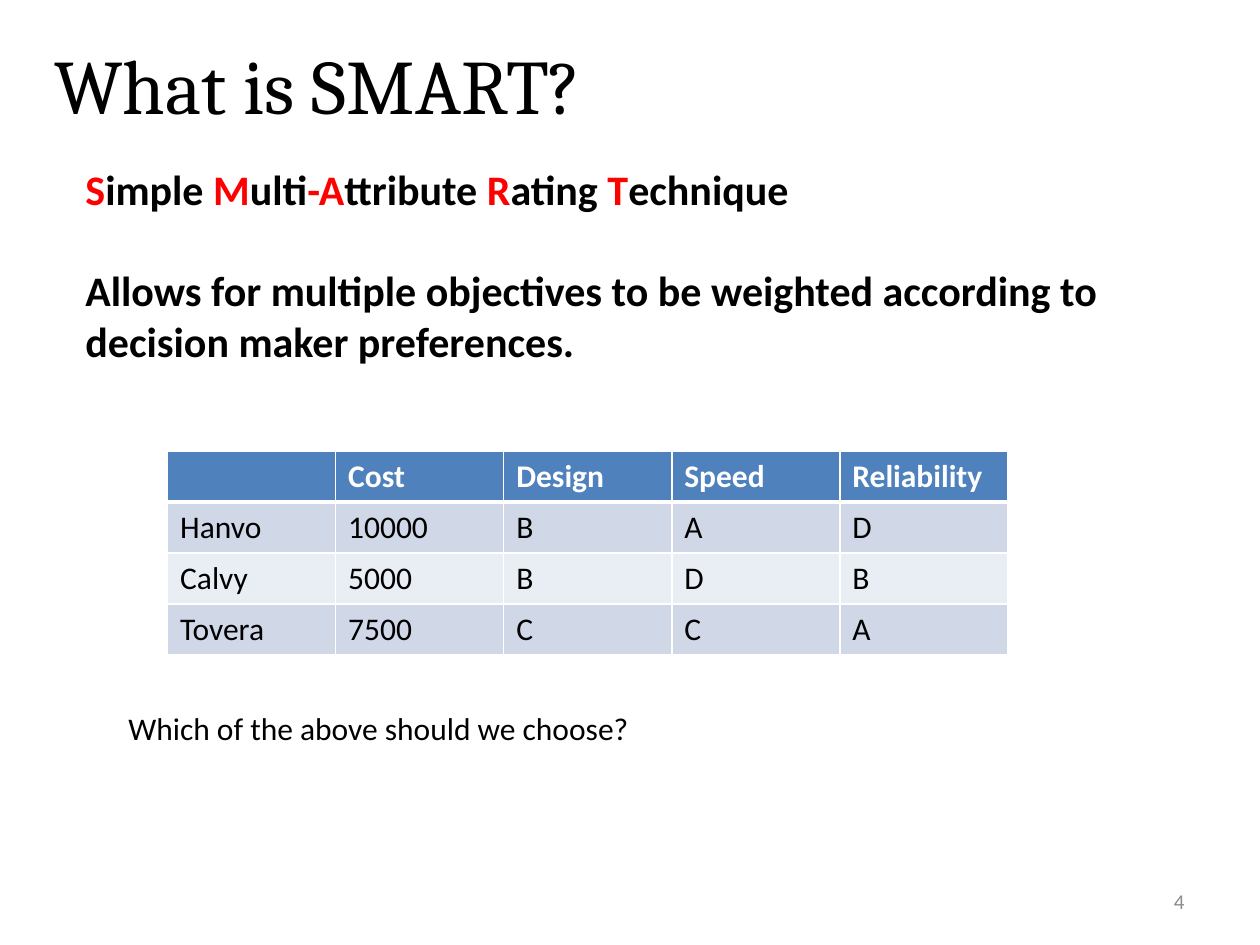
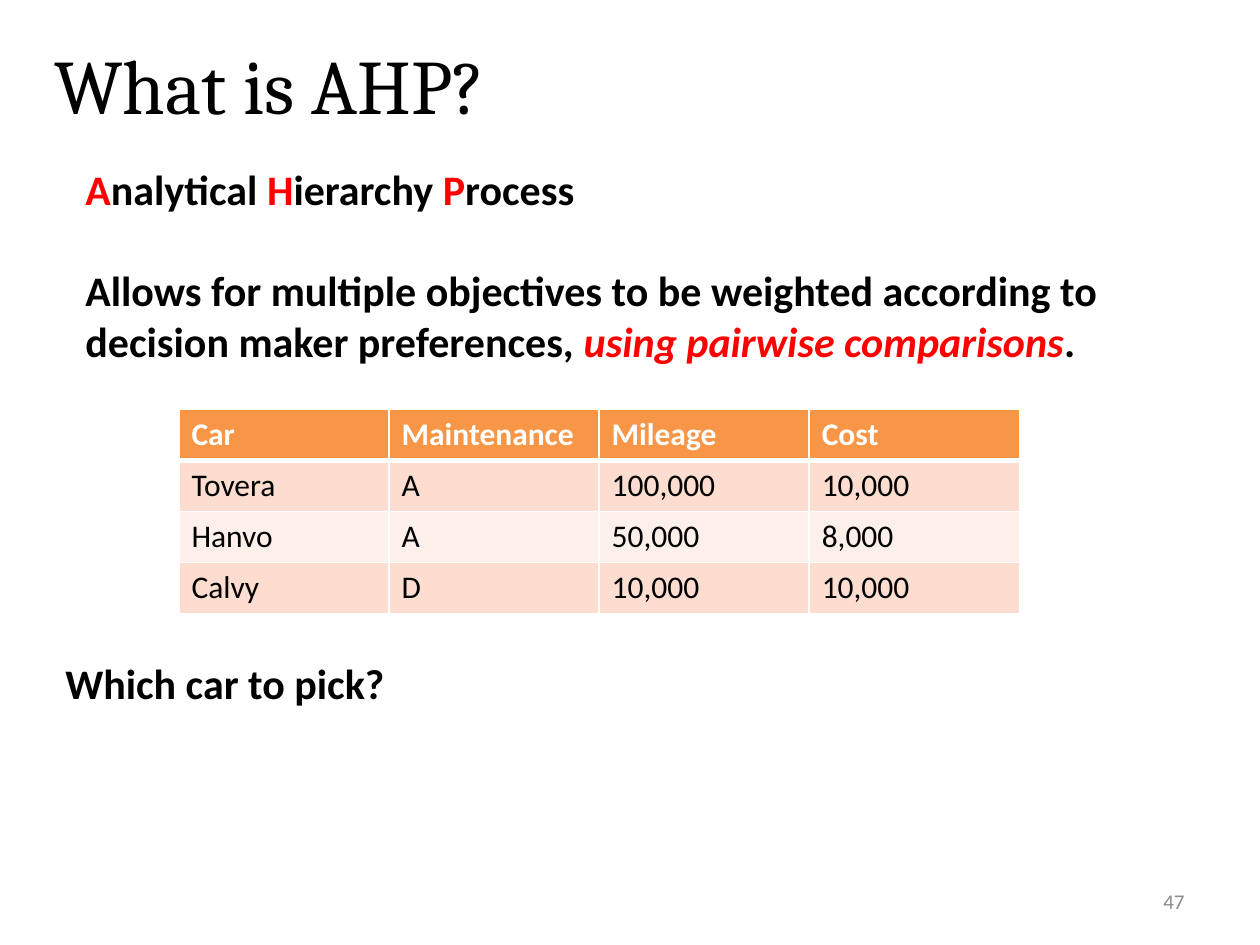
from lxml.etree import SubElement
from pptx import Presentation
from pptx.dml.color import RGBColor
from pptx.enum.text import MSO_ANCHOR as Anchor, MSO_AUTO_SIZE as AutoSize, PP_ALIGN as Align
from pptx.oxml.ns import qn
from pptx.util import Inches, Pt

BLACK, RED, WHITE, GREY = "000000", "FF0000", "FFFFFF", "8C8C8C"
HEADING_FONT, BODY_FONT = "Cambria", "Calibri"
TITLE_ONLY = 5
TABLE_WIDTH, ROW_HEIGHT = 6.67, 0.405
BORDERS = (("a:lnL", 1), ("a:lnR", 1), ("a:lnT", 1), ("a:lnB", 1))
HEADER_BORDERS = BORDERS[:3] + (("a:lnB", 3),)


def rgb(hex_color):
    """Turn a hex string into a colour."""
    return RGBColor.from_string(hex_color)


def add_run(paragraph, text, size, color=BLACK, bold=False, italic=False, font=BODY_FONT):
    """Append one formatted run to a paragraph."""
    run = paragraph.add_run()
    run.text = text
    run.font.name, run.font.size = font, Pt(size)
    run.font.bold, run.font.italic = bold, italic
    run.font.color.rgb = rgb(color)


# In each definition, text parts alternate between red and black.
slides = [
    {
        "title": "What is SMART?",
        "number": "4",
        "name": ["S", "imple", " M", "ulti", "-A", "ttribute", " R", "ating", " T", "echnique"],
        "purpose": [("Allows for multiple objectives to be weighted according to "
                     "decision maker preferences.", BLACK, False)],
        "table_at": (1.33, 3.58),
        "fills": ("4F81BD", "D0D8E8", "E9EDF4"),
        "rows": [
            ["", "Cost", "Design", "Speed", "Reliability"],
            ["Hanvo", "10000", "B", "A", "D"],
            ["Calvy", "5000", "B", "D", "B"],
            ["Tovera", "7500", "C", "C", "A"],
        ],
        "question": ("Which of the above should we choose?", 18, False),
        "question_at": (0.92, 5.58, 5.17, 0.4),
    },
    {
        "title": "What is AHP?",
        "number": "47",
        "name": ["A", "nalytical", " H", "ierarchy ", "P", "rocess"],
        "purpose": [("Allows for multiple objectives to be weighted according to "
                     "decision maker preferences, ", BLACK, False),
                    ("using pairwise comparisons", RED, True),
                    (".", BLACK, False)],
        "table_at": (1.42, 3.25),
        "fills": ("F79646", "FCDDCF", "FDEFE9"),
        "rows": [
            ["Car", "Maintenance", "Mileage", "Cost"],
            ["Tovera", "A", "100,000", "10,000"],
            ["Hanvo", "A", "50,000", "8,000"],
            ["Calvy", "D", "10,000", "10,000"],
        ],
        "question": ("Which car to pick?", 24, True),
        "question_at": (0.42, 5.17, 8.83, 0.5),
    },
]

presentation = Presentation()
presentation.slide_width, presentation.slide_height = Inches(10), Inches(7.5)

for content in slides:
    slide = presentation.slides.add_slide(presentation.slide_layouts[TITLE_ONLY])

    # Title
    title = slide.shapes.title
    title.left, title.top = Inches(0.33), Inches(0.25)
    title.width, title.height = Inches(5.17), Inches(0.84)
    title.text_frame.auto_size = AutoSize.NONE
    title.text_frame.vertical_anchor = Anchor.TOP
    paragraph = title.text_frame.paragraphs[0]
    paragraph.alignment = Align.LEFT
    add_run(paragraph, content["title"], 44, font=HEADING_FONT)

    # Text boxes: slide number, definition, question
    frames = []
    for box in ((7.17, 6.95, 2.33, 0.4), (0.58, 1.25, 8.83, 1.72), content["question_at"]):
        frame = slide.shapes.add_textbox(*map(Inches, box)).text_frame
        frame.word_wrap = True
        frames.append(frame)
    number, definition, question = frames

    number.vertical_anchor = Anchor.MIDDLE
    number.paragraphs[0].alignment = Align.RIGHT
    add_run(number.paragraphs[0], content["number"], 12, GREY)

    for index, part in enumerate(content["name"]):
        add_run(definition.paragraphs[0], part, 24, (RED, BLACK)[index % 2], bold=True)
    purpose = definition.add_paragraph()
    purpose.space_before = Pt(29)
    for text, color, italic in content["purpose"]:
        add_run(purpose, text, 24, color, bold=True, italic=italic)

    text, size, bold = content["question"]
    add_run(question.paragraphs[0], text, size, bold=bold)

    # Table with a coloured header and alternating rows
    rows = content["rows"]
    column_count = len(rows[0])
    left, top = content["table_at"]
    table = slide.shapes.add_table(
        len(rows), column_count, Inches(left), Inches(top),
        Inches(TABLE_WIDTH), Inches(ROW_HEIGHT * len(rows))).table
    for column in table.columns:
        column.width = Inches(TABLE_WIDTH / column_count)
    header_fill, odd_fill, even_fill = content["fills"]
    for row_index, row in enumerate(rows):
        is_header = row_index == 0
        fill = header_fill if is_header else (even_fill, odd_fill)[row_index % 2]
        for column_index, text in enumerate(row):
            cell = table.cell(row_index, column_index)
            properties = cell._tc.get_or_add_tcPr()
            for tag, width in HEADER_BORDERS if is_header else BORDERS:
                line = SubElement(properties, qn(tag), w=str(Pt(width)))
                SubElement(SubElement(line, qn("a:solidFill")), qn("a:srgbClr"), val=WHITE)
            cell.fill.solid()
            cell.fill.fore_color.rgb = rgb(fill)
            if text:
                add_run(cell.text_frame.paragraphs[0], text, 18,
                        WHITE if is_header else BLACK, bold=is_header)
    # The first body row shares the thick line under the header.
    for cell in table.rows[1].cells:
        cell._tc.tcPr.find(qn("a:lnT")).set("w", str(Pt(3)))

presentation.save("out.pptx")
